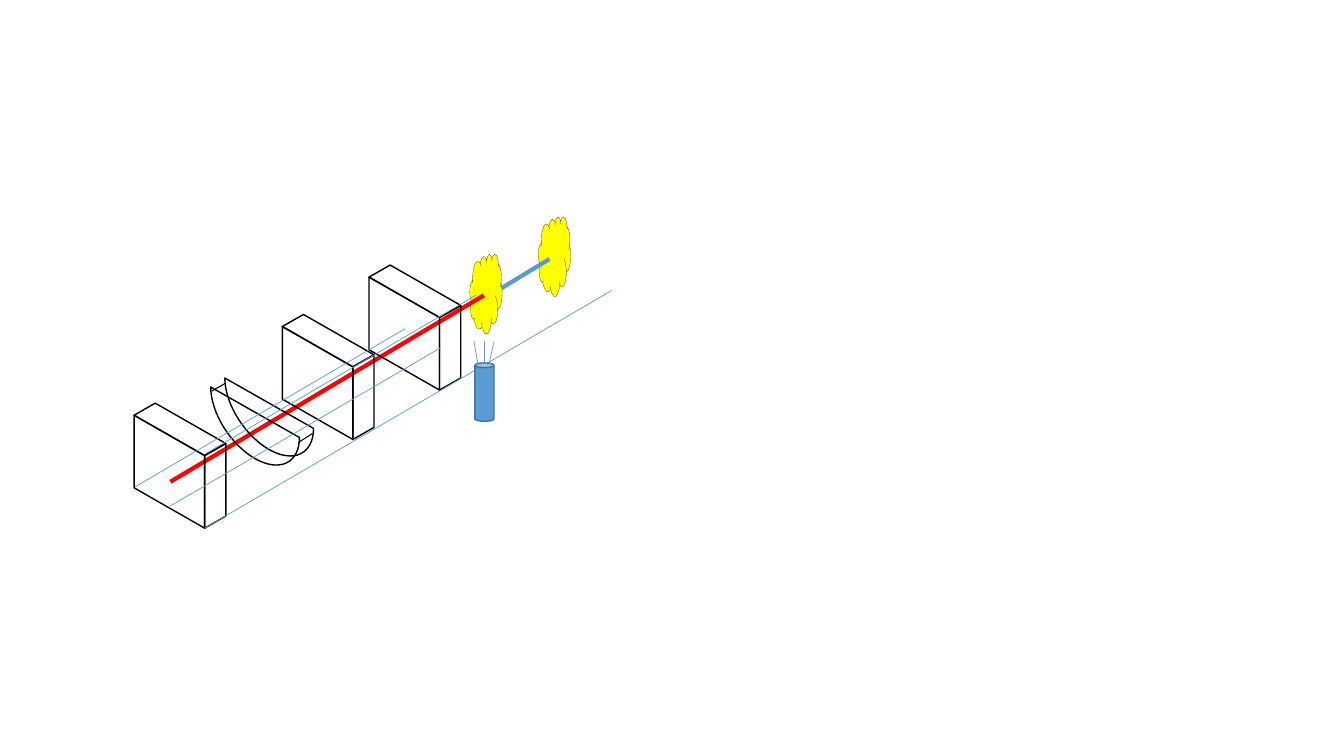
"""Builds a slide with an isometric optical bench: blocks, lens, beams and a burner."""
import math

import pptx
import pptx.dml.color
import pptx.enum.shapes
import pptx.oxml
import pptx.oxml.ns
import pptx.util

Inches = pptx.util.Inches
RGBColor = pptx.dml.color.RGBColor
MSO_SHAPE = pptx.enum.shapes.MSO_SHAPE

BLACK = RGBColor(0x00, 0x00, 0x00)
RED = RGBColor(0xFF, 0x00, 0x00)
YELLOW = RGBColor(0xFF, 0xFF, 0x00)
BLUE = RGBColor(0x5B, 0x9B, 0xD5)
DARK_BLUE = RGBColor(0x43, 0x73, 0x9E)

BLOCK_DEPTH = (0.21, -0.12)
BLOCK_WIDTH = (0.70, 0.40)
BLOCK_HEIGHT = 0.72
LENS_RADIUS = (0.44, 0.25)
LENS_DROP = 0.46
ARC_STEPS = 32


def add_line(slide, start, end, color, weight):
    """Draw a straight line without shadow."""
    line = slide.shapes.add_connector(
        pptx.enum.shapes.MSO_CONNECTOR.STRAIGHT,
        *(Inches(value) for value in start + end))
    line.line.color.rgb = color
    line.line.width = pptx.util.Pt(weight)
    properties = line._element.spPr
    properties.append(pptx.oxml.parse_xml(
        f"<a:effectLst {pptx.oxml.ns.nsdecls('a')}/>"))


def add_solid(slide, preset, box, fill, outline, weight):
    """Draw a filled preset shape."""
    solid = slide.shapes.add_shape(preset, *(Inches(value) for value in box))
    solid.shadow.inherit = False
    solid.fill.solid()
    solid.fill.fore_color.rgb = fill
    solid.line.color.rgb = outline
    solid.line.width = pptx.util.Pt(weight)


def add_wireframe(slide, outlines):
    """Draw closed outlines, given in inches, as one unfilled shape."""
    scaled = [[(Inches(x), Inches(y)) for x, y in outline]
              for outline in outlines]
    builder = slide.shapes.build_freeform(*scaled[0][0])
    for outline in scaled:
        builder.move_to(*outline[0])
        builder.add_line_segments(outline[1:], close=True)
    wireframe = builder.convert_to_shape()
    wireframe.shadow.inherit = False
    wireframe.fill.background()
    wireframe.line.color.rgb = BLACK
    wireframe.line.width = pptx.util.Pt(1)


def add_block(slide, x, y):
    """Draw an isometric block from the top left corner of its front face."""
    def corner(width, depth, height):
        return (x + width * BLOCK_WIDTH[0] + depth * BLOCK_DEPTH[0],
                y + width * BLOCK_WIDTH[1] + depth * BLOCK_DEPTH[1]
                + height * BLOCK_HEIGHT)

    front = [corner(0, 0, 0), corner(1, 0, 0), corner(1, 0, 1), corner(0, 0, 1)]
    top = [corner(0, 0, 0), corner(0, 1, 0), corner(1, 1, 0), corner(1, 0, 0)]
    side = [corner(1, 0, 0), corner(1, 1, 0), corner(1, 1, 1), corner(1, 0, 1)]
    add_wireframe(slide, [front, top, side])


def add_half_disc(slide, x, y):
    """Draw an isometric half disc hanging below its centre."""
    angles = [math.pi * step / ARC_STEPS for step in range(ARC_STEPS + 1)]
    arc = [(x + LENS_RADIUS[0] * math.cos(angle),
            y + LENS_RADIUS[1] * math.cos(angle) + LENS_DROP * math.sin(angle))
           for angle in angles]
    add_wireframe(slide, [arc])


def add_flame(slide, x, y):
    """Draw a yellow flame cloud."""
    add_solid(slide, MSO_SHAPE.CLOUD, (x, y, 0.32, 0.79), YELLOW, BLACK, 0.1)


def main():
    """Build and save the slide."""
    deck = pptx.Presentation()
    deck.slide_width, deck.slide_height = Inches(13.33), Inches(7.5)
    slide = deck.slides.add_slide(deck.slide_layouts[6])

    add_flame(slide, 5.34, 2.15)
    add_line(slide, (4.94, 2.88), (5.45, 2.57), BLUE, 3)
    add_flame(slide, 4.66, 2.52)
    add_line(slide, (1.69, 4.78), (4.8, 2.93), RED, 3)

    for x, y in [(1.33, 4.12), (2.8, 3.24), (3.66, 2.75)]:
        add_block(slide, x, y)
    add_line(slide, (2.03, 5.24), (6.07, 2.88), BLUE, 0.5)

    for x, y in [(2.53, 4.09), (2.67, 4.0)]:
        add_half_disc(slide, x, y)
    for start, end in [((2.1, 3.88), (2.24, 3.8)), ((2.96, 4.39), (3.1, 4.3))]:
        add_line(slide, start, end, BLACK, 0.75)

    for x, y in [(1.34, 4.83), (2.04, 4.5), (1.69, 5.02)]:
        add_line(slide, (x, y), (x + 2.68, y - 1.57), BLUE, 0.5)

    add_solid(slide, MSO_SHAPE.CAN, (4.71, 3.6, 0.19, 0.58), BLUE, DARK_BLUE, 1)
    for start, end in [((4.74, 3.61), (4.7, 3.38)),
                       ((4.8, 3.6), (4.8, 3.38)),
                       ((4.85, 3.61), (4.9, 3.39))]:
        add_line(slide, start, end, BLUE, 0.5)

    deck.save("out.pptx")


if __name__ == "__main__":
    main()
